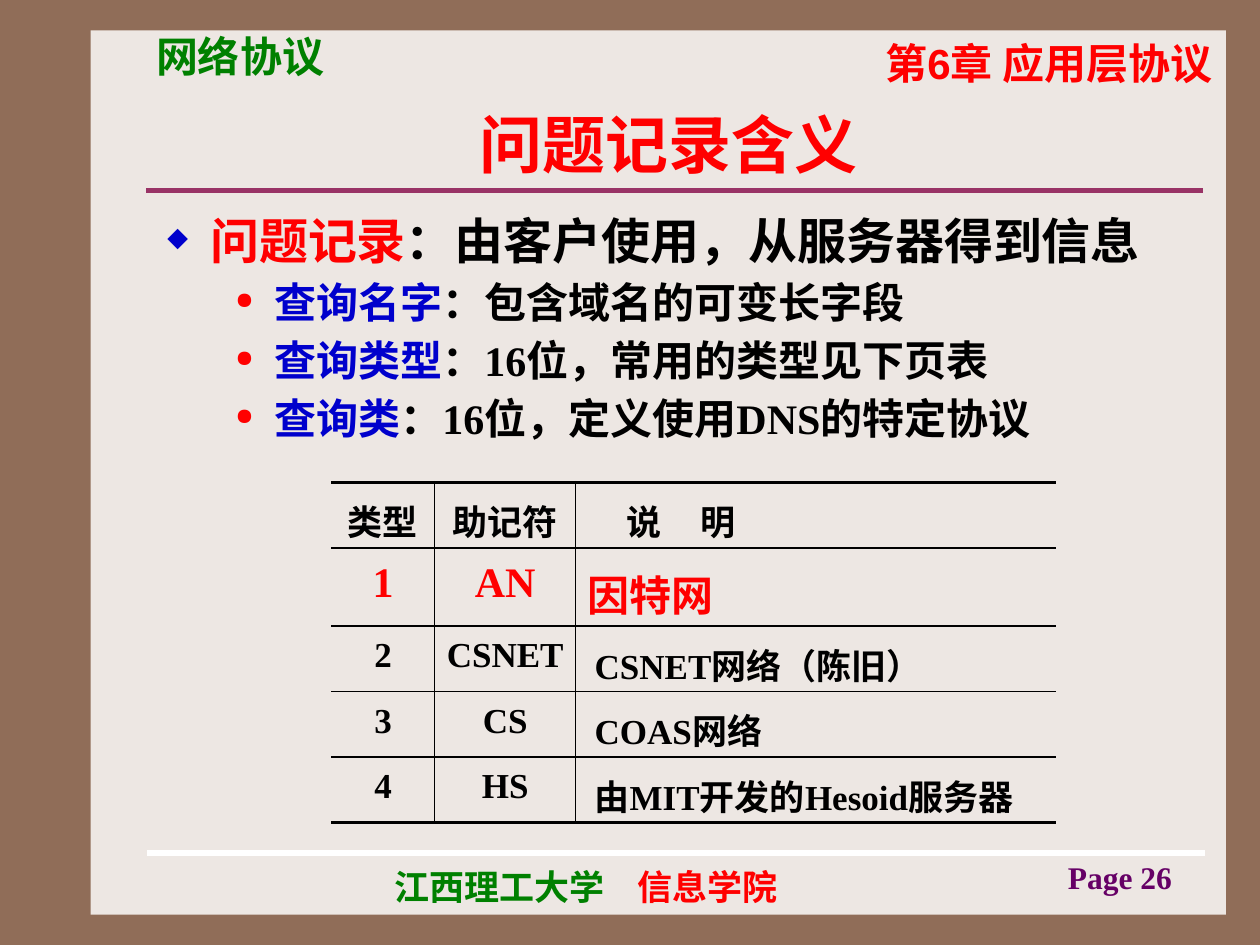
"""Build the slide on the meaning of DNS question records."""
from lxml import etree
from pptx import Presentation
from pptx import util as u
from pptx.dml.color import RGBColor
from pptx.enum import shapes, text
from pptx.oxml import ns

RED, GREEN, BLUE, BLACK = "FF0000", "008000", "0000CC", "000000"
SERIF, SANS, HAN = "Times New Roman", "Arial", "Noto Sans CJK SC"
LEFT, MID, RIGHT = text.PP_ALIGN.LEFT, text.PP_ALIGN.CENTER, text.PP_ALIGN.RIGHT

LABELS = [
    ((6.26, 0.25, 3.46, 0.5), [("第6章 应用层协议", RED)], 24, SANS, RIGHT),
    ((3.03, 6.82, 4.41, 0.43),
     [("江西理工大学\t", GREEN), ("信息学院", RED)], 20, HAN, LEFT),
    ((1.14, 0.19, 2.6, 0.5), [("网络协议", GREEN)], 24, SANS, LEFT),
    ((7.98, 6.76, 1.42, 0.35), [("Page 26", "660066")], 18, SERIF, RIGHT),
    ((1.14, 0.76, 8.33, 0.76), [("问题记录含义", RED)], 36, SERIF, MID),
]
RULES = [(1.16, 1.51, "993366"), (1.17, 6.77, "FFFFFF")]
POINTS = [
    (0, "问题记录", "：由客户使用，从服务器得到信息"),
    (1, "查询名字", "：包含域名的可变长字段"),
    (1, "查询类型", "：16位，常用的类型见下页表"),
    (1, "查询类", "：16位，定义使用DNS的特定协议"),
]
LEVELS = [
    dict(size=28, color=RED, mark="◆", dot=BLUE, left=0.4, hang=0.34),
    dict(size=24, color=BLUE, mark="●", dot=RED, left=0.91, hang=0.31),
]
ROWS = [
    ("类型", "助记符", "\t说\t明"),
    ("1", "AN", "因特网"),
    ("2", "CSNET", "CSNET网络（陈旧）"),
    ("3", "CS", "COAS网络"),
    ("4", "HS", "由MIT开发的Hesoid服务器"),
]
WIDTHS = [0.82, 1.12, 3.81]
HOT = 1
HEIGHTS = [0.62 if r == HOT else 0.52 for r in range(len(ROWS))]


def rgb(code):
    return RGBColor.from_string(code)


def sub(node, tag, **attrs):
    return etree.SubElement(node, ns.qn("a:" + tag), attrs)


def style(run, size, color, face=SERIF):
    font = run.font
    font.size, font.bold, font.name = u.Pt(size), True, face
    font.color.rgb = rgb(color)
    sub(run._r.get_or_add_rPr(), "ea", typeface=HAN)


def write(para, parts, size, face=SERIF):
    for words, color in parts:
        run = para.add_run()
        run.text = words
        style(run, size, color, face)


def tabs(para, *stops):
    node = sub(para._p.get_or_add_pPr(), "tabLst")
    for stop in stops:
        sub(node, "tab", pos=str(u.Inches(stop)), algn="l")


def indent(para, left, hang=0):
    props = para._p.get_or_add_pPr()
    props.set("marL", str(u.Inches(left)))
    props.set("indent", str(-u.Inches(hang)))
    return props


def box(slide, place):
    frame = slide.shapes.add_textbox(*map(u.Inches, place)).text_frame
    frame.word_wrap = True
    return frame


def label(slide, place, parts, size, face, align):
    frame = box(slide, place)
    frame.vertical_anchor = (text.MSO_ANCHOR.MIDDLE if align == MID
                             else text.MSO_ANCHOR.TOP)
    para = frame.paragraphs[0]
    if len(parts) > 1:
        tabs(para, 1.93)
    para.alignment = align
    write(para, parts, size, face)


def rule(slide, left, top, color):
    ends = map(u.Inches, (left, top, left + 8.39, top))
    line = slide.shapes.add_connector(shapes.MSO_CONNECTOR.STRAIGHT, *ends)
    line.line.color.rgb, line.line.width = rgb(color), u.Pt(3)
    sub(line._element.spPr, "effectLst")


def points(slide):
    frame = box(slide, (1.17, 1.55, 8.33, 5.02))
    for i, (level, term, rest) in enumerate(POINTS):
        para = frame.add_paragraph() if i else frame.paragraphs[0]
        look = LEVELS[level]
        props = indent(para, look["left"], look["hang"])
        sub(sub(props, "buClr"), "srgbClr", val=look["dot"])
        sub(props, "buSzPct", val="55000")
        sub(props, "buChar", char=look["mark"])
        para.level, para.line_spacing = level, 1.15
        write(para, [(term, look["color"]), (rest, BLACK)], look["size"])


def border(cell, row, col):
    last = len(ROWS) - 1
    sides = {
        "L": 1 if col else 0,
        "R": 1 if col < len(WIDTHS) - 1 else 0,
        "T": 1 if row else 2.25,
        "B": 1 if row < last else 2.25,
    }
    props = cell._tc.get_or_add_tcPr()
    for i, (side, width) in enumerate(sides.items()):
        line = sub(props, "ln" + side, w=str(u.Pt(width)))
        if width:
            sub(sub(line, "solidFill"), "srgbClr", val=BLACK)
        else:
            sub(line, "noFill")
        props.insert(i, line)


def table(slide):
    place = map(u.Inches, (2.63, 3.83, sum(WIDTHS), sum(HEIGHTS)))
    grid = slide.shapes.add_table(len(ROWS), len(WIDTHS), *place).table
    grid.first_row = grid.horz_banding = False
    for col, width in zip(grid.columns, WIDTHS):
        col.width = u.Inches(width)
    for r, (row, height) in enumerate(zip(ROWS, HEIGHTS)):
        grid.rows[r].height = u.Inches(height)
        for c, words in enumerate(row):
            cell = grid.cell(r, c)
            cell.fill.background()
            border(cell, r, c)
            cell.margin_left = cell.margin_right = u.Inches(0.02)
            cell.margin_top = cell.margin_bottom = u.Inches(0.02)
            para = cell.text_frame.paragraphs[0]
            if c < 2:
                para.alignment = MID
            elif r:
                indent(para, 0.07 if r == HOT else 0.13)
            else:
                tabs(para, 0.38, 0.97)
            para.line_spacing = 1.2
            size, color = (24, RED) if r == HOT else (20, BLACK)
            write(para, [(words, color)], size)


def main():
    deck = Presentation()
    deck.slide_width, deck.slide_height = u.Inches(10), u.Inches(7.5)
    slide = deck.slides.add_slide(deck.slide_layouts[6])
    back = slide.background.fill
    back.solid()
    back.fore_color.rgb = rgb("906D58")
    place = map(u.Inches, (0.72, 0.24, 9.01, 7.02))
    panel = slide.shapes.add_shape(shapes.MSO_SHAPE.RECTANGLE, *place)
    panel.shadow.inherit = False
    panel.fill.solid()
    panel.fill.fore_color.rgb = rgb("EDE7E3")
    panel.line.fill.background()
    for item in RULES:
        rule(slide, *item)
    for item in LABELS:
        label(slide, *item)
    points(slide)
    table(slide)
    deck.save("out.pptx")


if __name__ == "__main__":
    main()
